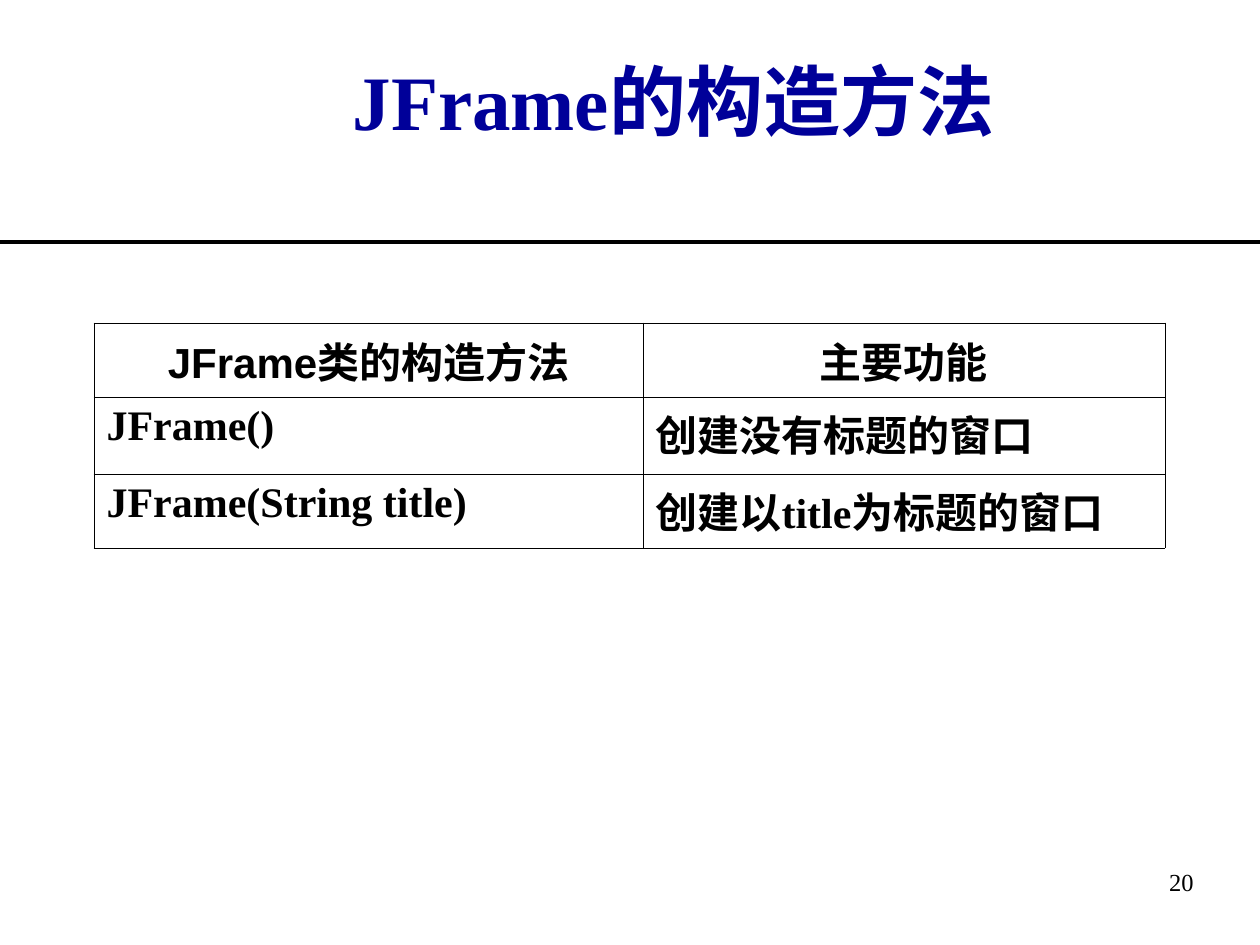
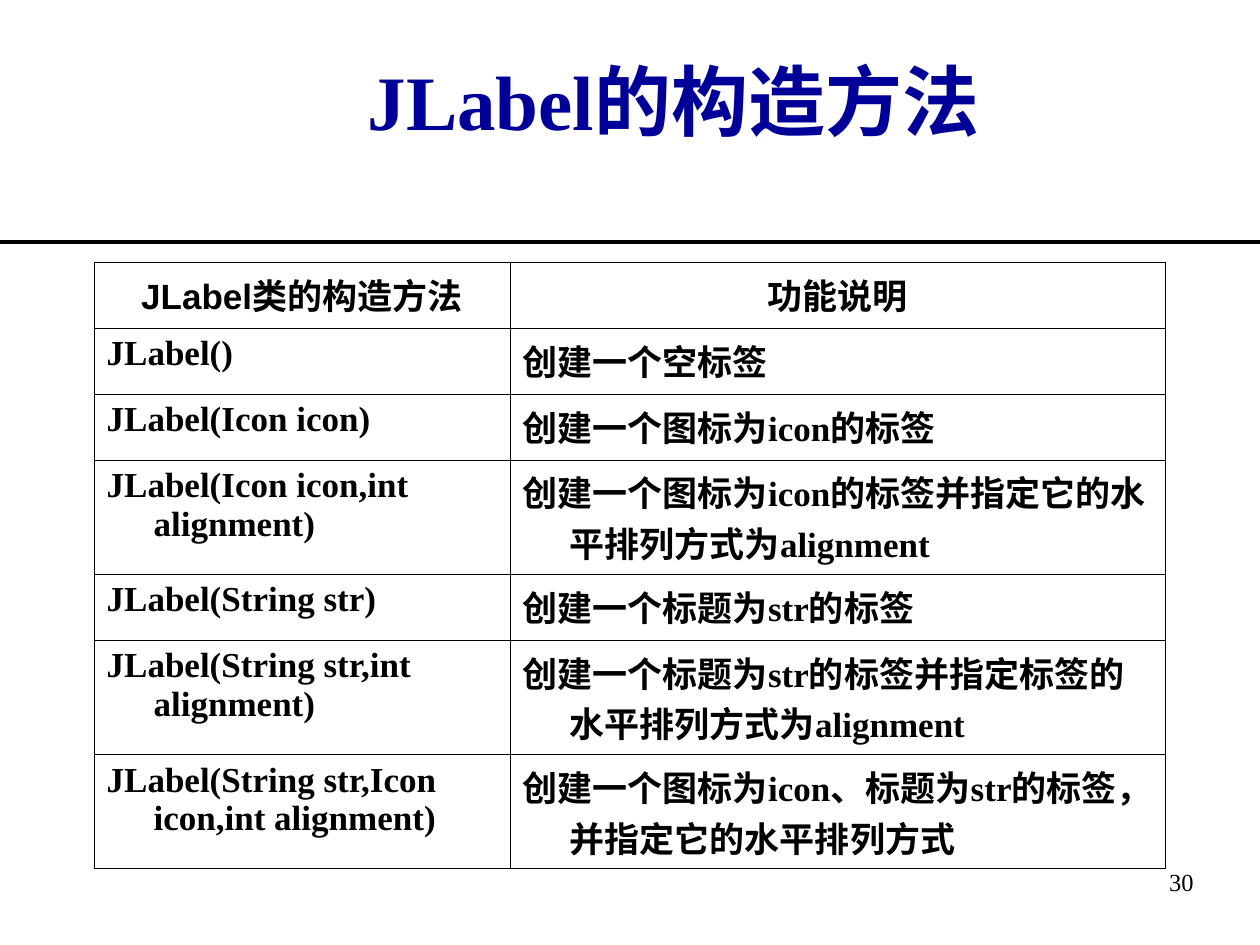
from dataclasses import dataclass

import lxml.etree
import pptx
import pptx.dml.color
import pptx.enum.shapes
import pptx.enum.text
import pptx.oxml.ns
import pptx.util

PX_PER_INCH = 126
SLIDE_W, SLIDE_H = 1260, 945
TABLE_LEFT = 94
RULE_Y = 242
SERIF, SANS = "Times New Roman", "Arial"
BLACK, WHITE, NAVY = "000000", "FFFFFF", "000099"
ALIGN = pptx.enum.text.PP_ALIGN
ANCHOR = pptx.enum.text.MSO_ANCHOR
qn = pptx.oxml.ns.qn


@dataclass(frozen=True)
class MethodSlide:
    title: str
    number: int
    top: int
    size: int
    columns: tuple[int, ...]
    heights: tuple[int, ...]
    rows: tuple[tuple[str, str], ...]


SLIDES = (
    MethodSlide(
        "JFrame的构造方法 ", 20, 323, 24, (549, 522), (74, 77, 74),
        (
            ("JFrame类的构造方法", "主要功能"),
            ("JFrame()", "创建没有标题的窗口"),
            ("JFrame(String title)", "创建以title为标题的窗口"),
        ),
    ),
    MethodSlide(
        "JLabel的构造方法 ", 30, 262, 20, (416, 655),
        (66, 66, 66, 114, 66, 114, 114),
        (
            ("JLabel类的构造方法", "功能说明"),
            ("JLabel()", "创建一个空标签"),
            ("JLabel(Icon icon)", "创建一个图标为icon的标签"),
            ("JLabel(Icon icon,int alignment)",
             "创建一个图标为icon的标签并指定它的水平排列方式为alignment"),
            ("JLabel(String str)", "创建一个标题为str的标签"),
            ("JLabel(String str,int alignment)",
             "创建一个标题为str的标签并指定标签的水平排列方式为alignment"),
            ("JLabel(String str,Icon icon,int alignment)",
             "创建一个图标为icon、标题为str的标签，并指定它的水平排列方式"),
        ),
    ),
)


def px(n: int) -> int:
    return round(n * pptx.util.Inches(1) / PX_PER_INCH)


def rgb(color: str) -> pptx.dml.color.RGBColor:
    return pptx.dml.color.RGBColor.from_string(color)


def add_run(p, text: str, size: int, font: str, color: str = BLACK, bold: bool = True) -> None:
    r = p.add_run()
    r.text = text
    r.font.size = pptx.util.Pt(size)
    r.font.name = font
    r.font.bold = bold
    r.font.color.rgb = rgb(color)


def add_title(s, text: str) -> None:
    sp = s.shapes.title
    sp.left, sp.top, sp.width, sp.height = map(px, (147, 21, 1071, 158))
    tf = sp.text_frame
    tf.word_wrap = True
    tf.auto_size = pptx.enum.text.MSO_AUTO_SIZE.NONE
    tf.vertical_anchor = ANCHOR.MIDDLE
    p = tf.paragraphs[0]
    p.alignment = ALIGN.CENTER
    add_run(p, text, 44, SERIF, NAVY)


def add_rule(s) -> None:
    cx = s.shapes.add_connector(
        pptx.enum.shapes.MSO_CONNECTOR.STRAIGHT, 0, px(RULE_Y), px(SLIDE_W), px(RULE_Y))
    cx.line.color.rgb = rgb(BLACK)
    cx.line.width = pptx.util.Pt(2.25)
    lxml.etree.SubElement(cx.element.spPr, qn("a:effectLst"))


def add_number(s, number: int) -> None:
    tf = s.shapes.add_textbox(*map(px, (1133, 861, 73, 84))).text_frame
    tf.word_wrap = True
    p = tf.paragraphs[0]
    p.alignment = ALIGN.RIGHT
    add_run(p, str(number), 14, SERIF, bold=False)


def add_borders(cell) -> None:
    tc_pr = cell._tc.get_or_add_tcPr()
    for side in "LRTB":
        ln = lxml.etree.SubElement(tc_pr, qn(f"a:ln{side}"), w=str(pptx.util.Pt(0.45)))
        fill = lxml.etree.SubElement(ln, qn("a:solidFill"))
        lxml.etree.SubElement(fill, qn("a:srgbClr"), val=BLACK)


def fill_cell(cell, text: str, size: int, header: bool) -> None:
    add_borders(cell)
    cell.fill.solid()
    cell.fill.fore_color.rgb = rgb(WHITE)
    cell.vertical_anchor = ANCHOR.TOP
    p = cell.text_frame.paragraphs[0]
    p_pr = p._p.get_or_add_pPr()
    p_pr.set("marL", str(px(47)))
    p_pr.set("indent", str(-px(47)))
    p.alignment = ALIGN.CENTER if header else ALIGN.LEFT
    add_run(p, text, size, SANS if header else SERIF)


def add_methods(s, spec: MethodSlide) -> None:
    frame = s.shapes.add_table(
        len(spec.rows), len(spec.columns), px(TABLE_LEFT), px(spec.top),
        px(sum(spec.columns)), px(sum(spec.heights)))
    table = frame.table
    table.first_row = table.horz_banding = False
    for column, width in zip(table.columns, spec.columns):
        column.width = px(width)
    for i, (row, height) in enumerate(zip(table.rows, spec.heights)):
        row.height = px(height)
        for cell, text in zip(row.cells, spec.rows[i]):
            fill_cell(cell, text, spec.size, i == 0)


def main() -> None:
    prs = pptx.Presentation()
    prs.slide_width, prs.slide_height = px(SLIDE_W), px(SLIDE_H)
    for spec in SLIDES:
        s = prs.slides.add_slide(prs.slide_layouts[5])
        add_title(s, spec.title)
        add_methods(s, spec)
        add_rule(s)
        add_number(s, spec.number)
    prs.save("out.pptx")


if __name__ == "__main__":
    main()
